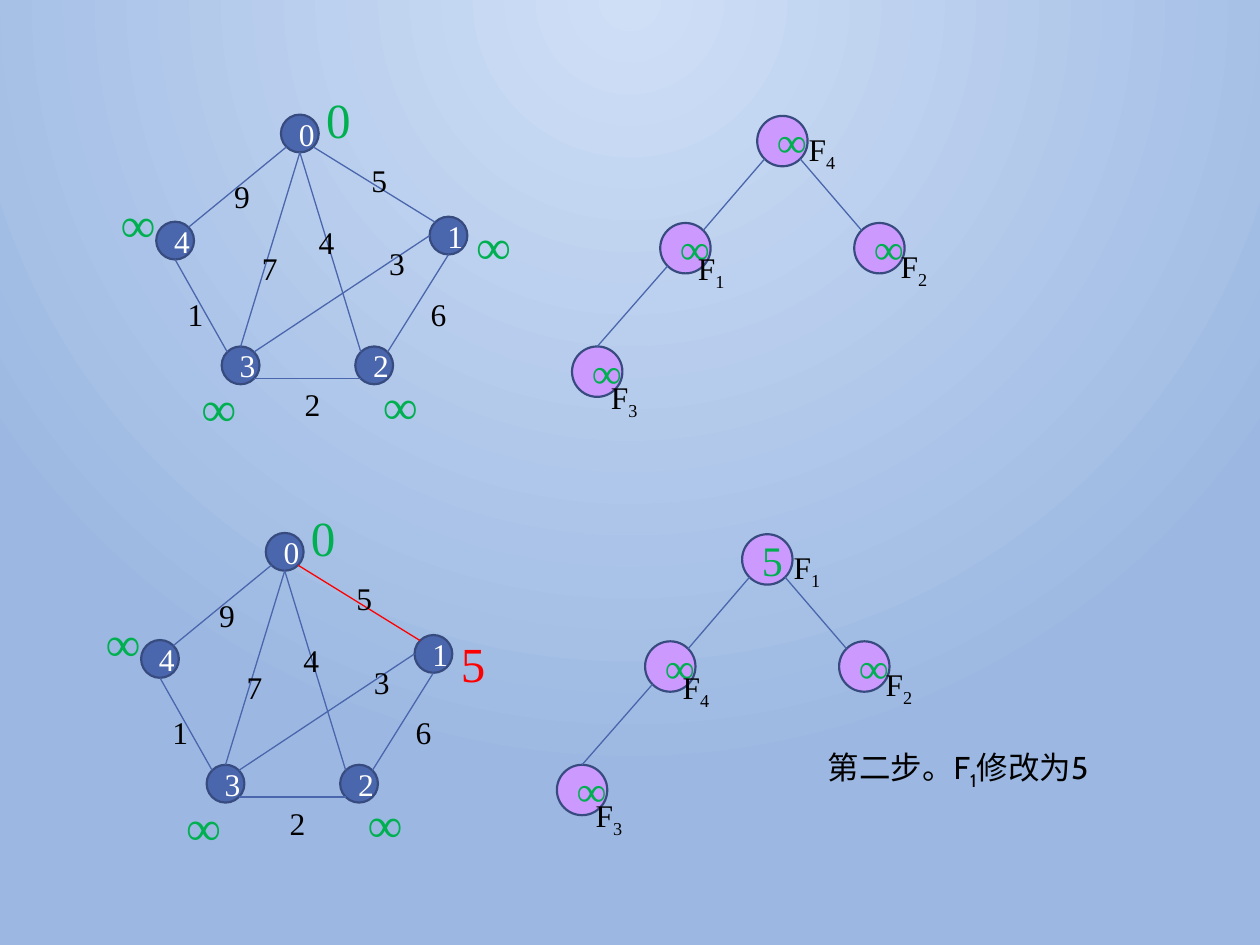
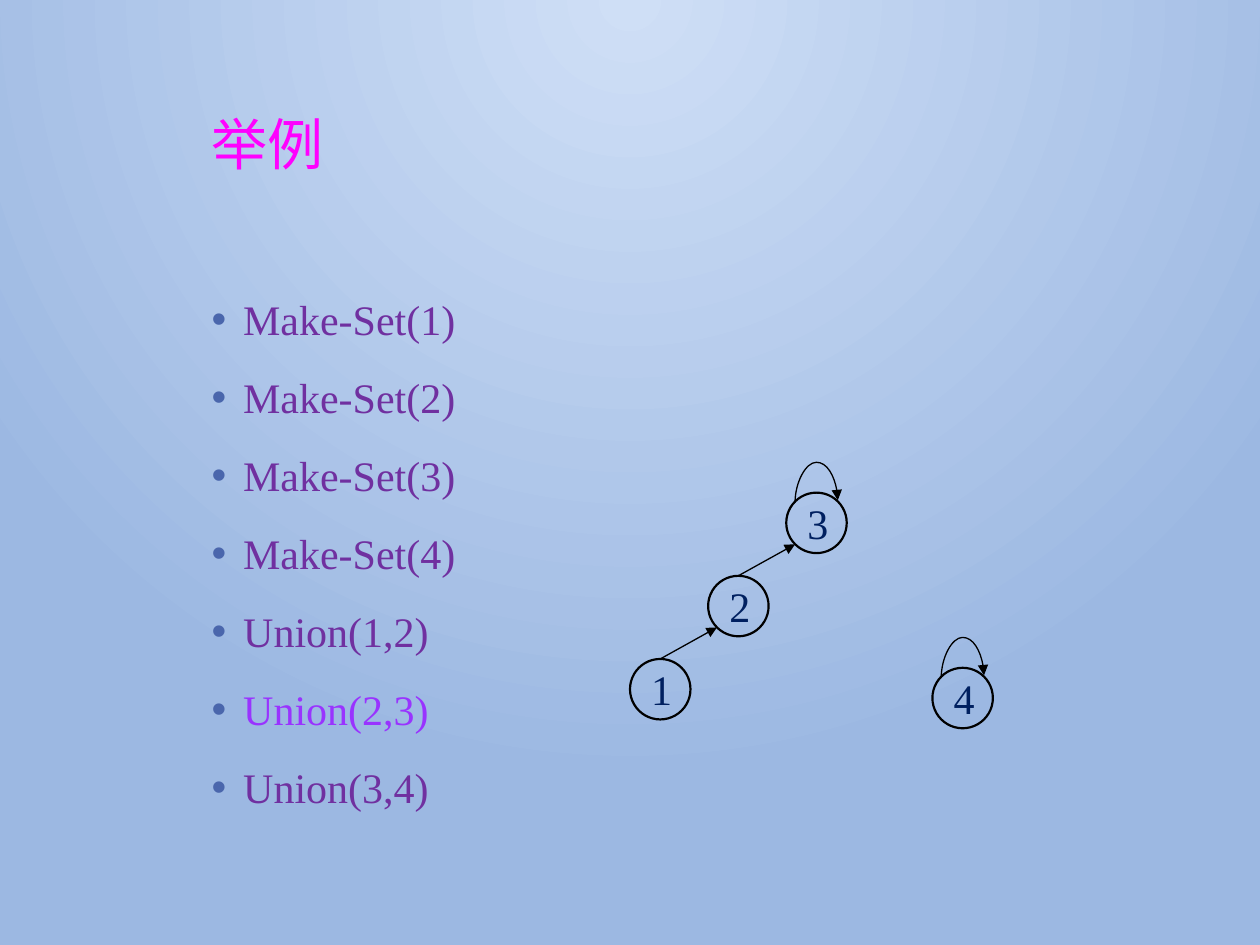
from lxml import etree
from pptx import Presentation
from pptx.dml.color import RGBColor
from pptx.enum import shapes, text
from pptx.oxml import ns, parse_xml
from pptx.util import Inches, Pt

COLORS = {
    "glow": "CFDFF6", "sky": "9CB8E2", "blue": "4A66AC", "navy": "374B7F",
    "lilac": "CC99FF", "green": "00B050", "red": "FF0000", "black": "000000",
    "white": "FFFFFF", "ink": "002060", "magenta": "FF00FF",
    "purple": "7030A0", "violet": "9933FF",
}
SERIF, SANS, CJK = "Times New Roman", "Cabin", "Noto Sans CJK SC"
DIAGONAL = 0.5 ** 0.5
PORTS = {  # directions from the middle of a circle to its rim
    "top": (0, -1), "bottom": (0, 1), "left": (-1, 0),
    "top left": (-DIAGONAL, -DIAGONAL), "top right": (DIAGONAL, -DIAGONAL),
    "bottom left": (-DIAGONAL, DIAGONAL), "bottom right": (DIAGONAL, DIAGONAL),
}

# Weighted graph, relative to its box
VERTICES = {"0": (1.37, 0.25), "4": (0.38, 1.1), "3": (0.9, 2.09),
            "2": (1.96, 2.09), "1": (2.55, 1.06)}
EDGES = [  # from, port, to, port, weight, place of the weight
    ("0", "bottom left", "4", "top right", "9", (0.9, 0.7)),
    ("3", "top left", "4", "bottom", "1", (0.53, 1.63)),
    ("1", "top left", "0", "bottom right", "5", (1.99, 0.57)),
    ("2", "bottom left", "3", "bottom right", "2", (1.46, 2.35)),
    ("1", "bottom", "2", "top right", "6", (2.46, 1.63)),
    ("2", "top left", "0", "bottom", "4", (1.57, 1.06)),
    ("3", "top", "0", "bottom", "7", (1.12, 1.27)),
    ("1", "left", "3", "top right", "3", (2.13, 1.23)),
]
DISTANCES = {"0": (1.63, 0), "1": (2.82, 1), "2": (2.08, 2.27),
             "3": (0.64, 2.29), "4": (0, 0.83)}

# Heap tree, relative to its box: place of the node, place of its label
HEAP = {"root": ((1.47, 0), (1.78, 0.06)), "left": ((0.7, 0.85), (0.9, 1.01)),
        "right": ((2.24, 0.85), (2.51, 0.99)), "leaf": ((0, 1.83), (0.21, 2.03))}
BRANCHES = [("left", "top right", "root", "bottom left"),
            ("right", "top left", "root", "bottom right"),
            ("leaf", "top", "left", "bottom left")]

OPERATIONS = ["Make-Set(1)", "Make-Set(2)", "Make-Set(3)", "Make-Set(4)",
              "Union(1,2)", "Union(2,3)", "Union(3,4)"]
CURRENT_OPERATION = "Union(2,3)"


def rgb(color):
    return RGBColor.from_string(COLORS[color])


def apply(target, **values):
    for attribute, value in values.items():
        setattr(target, attribute, value)


def write(paragraph, words, size, color, face=SERIF, subscript=False):
    run = paragraph.add_run()
    run.text = words
    apply(run.font, size=Pt(size), name=face)
    run.font.color.rgb = rgb(color)
    properties = run.font._element
    east_asian = etree.SubElement(properties, ns.qn("a:ea"))
    east_asian.set("typeface", SERIF if face == SERIF else CJK)
    if subscript:
        properties.set("baseline", "-25000")


def add_label(parts, box, pieces, size, color, face=SERIF, wrap=False):
    """Write pieces in turn; every second piece is a subscript."""
    frame = parts.add_textbox(*map(Inches, box)).text_frame
    apply(frame, word_wrap=wrap, auto_size=text.MSO_AUTO_SIZE.SHAPE_TO_FIT_TEXT)
    for index, piece in enumerate(pieces):
        write(frame.paragraphs[0], piece, size, color, face, index % 2 == 1)


def add_circle(parts, place, diameter, words, size, color, fill, outline):
    left, top = place
    circle = parts.add_shape(shapes.MSO_SHAPE.OVAL,
                             *map(Inches, (left, top, diameter, diameter)))
    circle.shadow.inherit = False
    if fill:
        circle.fill.solid()
        circle.fill.fore_color.rgb = rgb(fill)
    else:
        circle.fill.background()
    circle.line.color.rgb = rgb(outline)
    circle.line.width = Pt(1.25)
    circle.text_frame.vertical_anchor = text.MSO_ANCHOR.MIDDLE
    paragraph = circle.text_frame.paragraphs[0]
    paragraph.alignment = text.PP_ALIGN.CENTER
    write(paragraph, words, size, color)
    return circle


def rim_point(circle, port):
    radius = circle.width / 2
    x, y = PORTS[port]
    return (round(circle.left + radius * (1 + x)),
            round(circle.top + radius * (1 + y)))


def style_line(line, color, arrow=False):
    line.line.color.rgb = rgb(color)
    line.line.width = Pt(0.75)
    if arrow:
        head = etree.SubElement(line.line._get_or_add_ln(), ns.qn("a:tailEnd"))
        head.set("type", "triangle")
    etree.SubElement(line._element.spPr, ns.qn("a:effectLst"))


def join(parts, start, start_port, end, end_port, color, arrow=False):
    line = parts.add_connector(shapes.MSO_CONNECTOR.STRAIGHT,
                               *rim_point(start, start_port),
                               *rim_point(end, end_port))
    if start_port == "top":
        line.begin_connect(start, 0)
    style_line(line, color, arrow)


def add_self_loop(parts, circle):
    """Arc from the top left to the top right of a circle, turned by 90 degrees."""
    x1, y = rim_point(circle, "top left")
    x2, _ = rim_point(circle, "top right")
    middle, half_span, half_depth = (x1 + x2) // 2, (x2 - x1) // 2, Inches(0.01)
    loop = parts.add_connector(shapes.MSO_CONNECTOR.CURVE,
                               middle + half_depth, y + half_span,
                               middle - half_depth, y - half_span)
    properties = loop._element.spPr
    properties.find(ns.qn("a:xfrm")).set("rot", "5400000")
    adjustments = properties.find(ns.qn("a:prstGeom")).get_or_add_avLst()
    guide = etree.SubElement(adjustments, ns.qn("a:gd"))
    guide.set("name", "adj1")
    guide.set("fmla", "val 1600000")
    style_line(loop, "black", arrow=True)


def add_graph(slide, left, top, distances, chosen_edge=None, updated=None):
    parts = slide.shapes.add_group_shape().shapes
    vertices = {
        name: add_circle(parts, (left + x, top + y), 0.3, name, 18,
                         "white", "blue", "navy")
        for name, (x, y) in VERTICES.items()}
    for start, start_port, end, end_port, weight, (x, y) in EDGES:
        color = "red" if (start, end) == chosen_edge else "blue"
        join(parts, vertices[start], start_port, vertices[end], end_port, color)
        add_label(parts, (left + x, top + y, 0.33, 0.4), [weight], 18, "black")
    for name, (x, y) in DISTANCES.items():
        add_label(parts, (left + x, top + y, 0.4, 0.57), [distances[name]], 28,
                  "red" if name == updated else "green", wrap=True)


def add_heap(slide, left, top, entries):
    parts, nodes = slide.shapes, {}
    for spot, (key, number) in entries.items():
        (x, y), (label_x, label_y) = HEAP[spot]
        nodes[spot] = add_circle(parts, (left + x, top + y), 0.4, key, 24,
                                 "green", "lilac", "navy")
        add_label(parts, (left + label_x, top + label_y, 0.43, 0.4),
                  ["F", number], 18, "black")
    for child, child_port, parent, parent_port in BRANCHES:
        join(parts, nodes[child], child_port, nodes[parent], parent_port, "blue")


def add_disjoint_sets(slide, left, top):
    parts = slide.shapes
    places = {"1": (0, 1.32), "2": (0.62, 0.66), "3": (1.24, 0), "4": (2.4, 1.39)}
    members = {
        name: add_circle(parts, (left + x, top + y), 0.48, name, 24,
                         "ink", None, "black")
        for name, (x, y) in places.items()}
    for child, parent in ("12", "23"):
        join(parts, members[child], "top", members[parent], "bottom left",
             "black", arrow=True)
    for root in "34":
        add_self_loop(parts, members[root])


def place_placeholder(placeholder, box):
    apply(placeholder, **dict(zip(("left", "top", "width", "height"),
                                  map(Inches, box))))
    apply(placeholder.text_frame, vertical_anchor=text.MSO_ANCHOR.TOP,
          auto_size=text.MSO_AUTO_SIZE.NONE)
    return placeholder.text_frame


def add_title(slide, words, box):
    paragraph = place_placeholder(slide.shapes.title, box).paragraphs[0]
    apply(paragraph, alignment=text.PP_ALIGN.LEFT, line_spacing=0.9)
    write(paragraph, words, 32, "magenta", CJK)


def add_operations(slide, box):
    frame = place_placeholder(slide.placeholders[1], box)
    for index, operation in enumerate(OPERATIONS):
        paragraph = frame.add_paragraph() if index else frame.paragraphs[0]
        properties = paragraph._p.get_or_add_pPr()
        properties.set("marL", str(Inches(0.25)))
        properties.set("indent", str(-Inches(0.25)))
        bullet_color = etree.SubElement(properties, ns.qn("a:buClr"))
        etree.SubElement(bullet_color, ns.qn("a:srgbClr")).set("val", COLORS["blue"])
        etree.SubElement(properties, ns.qn("a:buChar")).set("char", "•")
        apply(paragraph, line_spacing=1.2, space_before=Pt(10 if index else 0))
        write(paragraph, operation, 24,
              "violet" if operation == CURRENT_OPERATION else "purple")


def paint_background(master):
    """Circular glow spreading from the top middle."""
    fill = master.background.fill
    fill.gradient()
    for stop, color, position in zip(fill.gradient_stops, ("glow", "sky"), (0, 1)):
        stop.color.rgb = rgb(color)
        stop.position = position
    gradient = master._element.find(".//" + ns.qn("a:gradFill"))
    gradient.replace(gradient.find(ns.qn("a:lin")), parse_xml(
        f'<a:path {ns.nsdecls("a")} path="circle">'
        '<a:fillToRect l="43000" t="0" r="43000" b="100000"/></a:path>'))


def build_prim_slide(deck):
    slide = deck.slides.add_slide(deck.slide_layouts[6])
    infinite = dict.fromkeys("1234", "∞")
    # Starting state
    add_graph(slide, 0.86, 0.66, {"0": "0", **infinite})
    add_heap(slide, 4.54, 0.92, {"root": ("∞", "4"), "left": ("∞", "1"),
                                 "right": ("∞", "2"), "leaf": ("∞", "3")})
    # After the second step
    add_graph(slide, 0.74, 3.98, {"0": "0", **infinite, "1": "5"}, ("1", "0"), "1")
    add_heap(slide, 4.42, 4.24, {"root": ("5", "1"), "left": ("∞", "4"),
                                 "right": ("∞", "2"), "leaf": ("∞", "3")})
    add_label(slide.shapes, (6.47, 5.89, 2.89, 0.4),
              ["第二步。F", "1", "修改为5"], 18, "black", SANS, wrap=True)


def build_union_slide(deck):
    slide = deck.slides.add_slide(deck.slide_layouts[1])
    add_title(slide, "举例", (1.58, 0.88, 7.19, 1.15))
    add_operations(slide, (1.58, 2.2, 2.65, 4.42))
    add_disjoint_sets(slide, 5, 3.91)


def main():
    deck = Presentation()
    apply(deck, slide_width=Inches(10), slide_height=Inches(7.5))
    paint_background(deck.slide_master)
    build_prim_slide(deck)
    build_union_slide(deck)
    deck.save("out.pptx")


if __name__ == "__main__":
    main()
